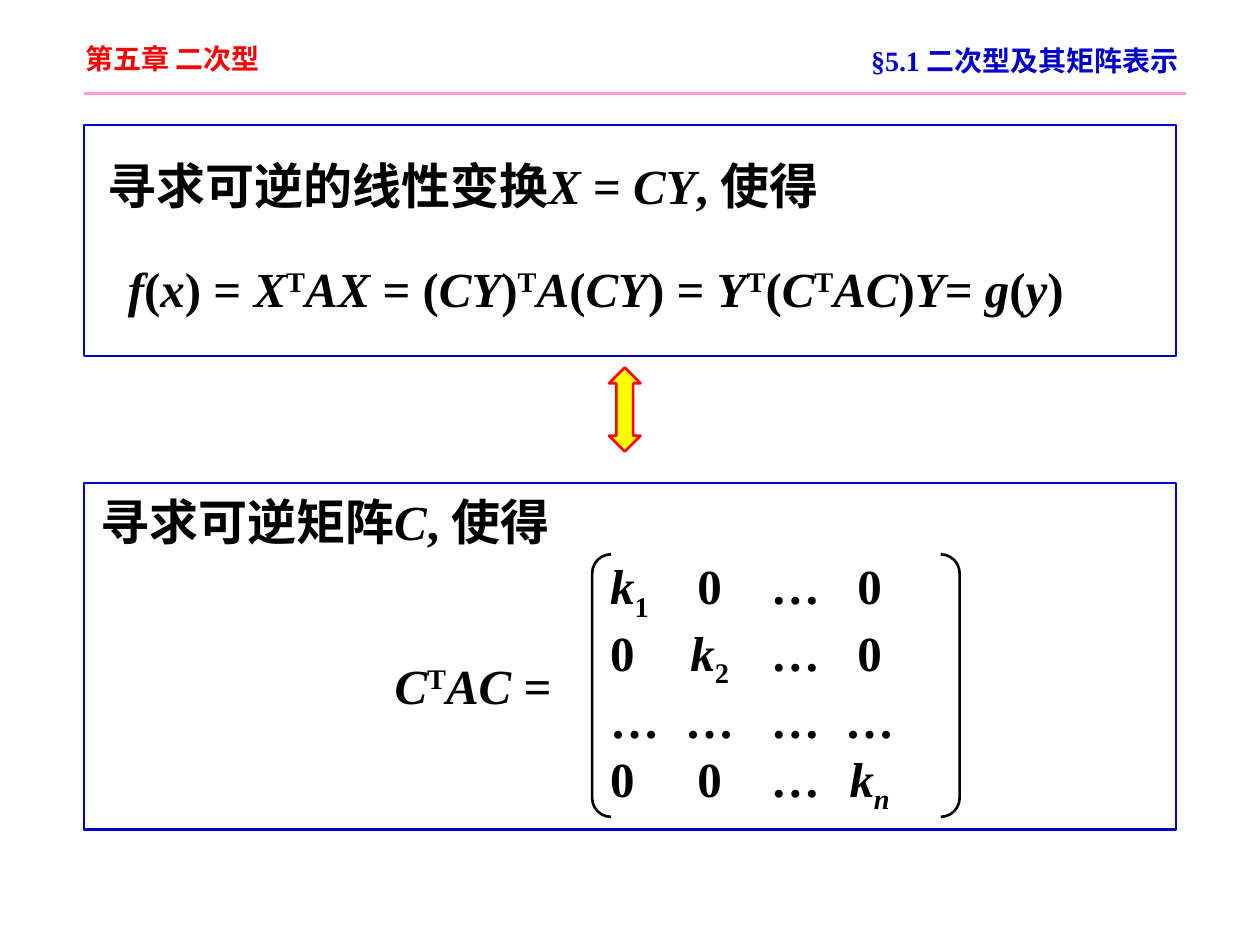
from dataclasses import dataclass
from typing import NamedTuple, Optional

from lxml import etree
from pptx import Presentation
from pptx import util as u
from pptx.dml import color
from pptx.enum import shapes, text
from pptx.oxml import ns

COLORS = {
    "ink": "000000",
    "frame": "0000CC",
    "chapter": "FF0000",
    "rule": "FF99CC",
    "arrow": "FFFF00",
}
LATIN, CJK = "Times New Roman", "Noto Sans CJK SC"
CELL = u.Inches(10) // 120
MATRIX_STOPS = (9.48, 17.64, 24.72)


class Run(NamedTuple):
    words: str
    italic: bool = False
    baseline: int = 0


class Box(NamedTuple):
    col: float
    row: float
    cols: float
    rows: float


@dataclass
class Label:
    box: Box
    runs: list[Run]
    size: int = 28
    color: str = "ink"
    font: str = LATIN
    spacing: Optional[float] = None
    align: text.PP_ALIGN = text.PP_ALIGN.LEFT


def var(words: str) -> Run:
    return Run(words, italic=True)


def sub(words: str, italic: bool = False) -> Run:
    return Run(words, italic, -25)


def grid(*cells: float) -> list[int]:
    return [round(cell * CELL) for cell in cells]


def rgb(name: str) -> color.RGBColor:
    return color.RGBColor.from_string(COLORS[name])


def add_runs(paragraph, runs: list[Run], size: int = 28,
             ink: str = "ink", face: str = LATIN) -> None:
    for part in runs:
        run = paragraph.add_run()
        run.text = part.words
        font = run.font
        font.name, font.size, font.bold = face, u.Pt(size), True
        font.italic = part.italic
        font.color.rgb = rgb(ink)
        props = run._r.get_or_add_rPr()
        if part.baseline:
            props.set("baseline", str(part.baseline * 1000))
        if any("\u4e00" <= letter <= "\u9fff" for letter in part.words):
            east = etree.Element(ns.qn("a:ea"), typeface=CJK)
            props.find(ns.qn("a:latin")).addnext(east)


def add_label(slide, label: Label) -> None:
    frame = slide.shapes.add_textbox(*grid(*label.box)).text_frame
    frame.word_wrap = True
    frame.auto_size = text.MSO_AUTO_SIZE.SHAPE_TO_FIT_TEXT
    paragraph = frame.paragraphs[0]
    paragraph.alignment = label.align
    if label.spacing:
        paragraph.line_spacing = label.spacing
    add_runs(paragraph, label.runs, label.size, label.color, label.font)


def add_outline(slide, kind: shapes.MSO_SHAPE, box: Box, line: str,
                fill: Optional[str] = None, adjust: tuple[float, ...] = ()):
    shape = slide.shapes.add_shape(kind, *grid(*box))
    shape.shadow.inherit = False
    if fill:
        shape.fill.solid()
        shape.fill.fore_color.rgb = rgb(fill)
    else:
        shape.fill.background()
    shape.line.color.rgb = rgb(line)
    shape.line.width = u.Pt(1.5)
    for index, value in enumerate(adjust):
        shape.adjustments[index] = value
    return shape


def add_matrix(slide, box: Box, rows: list[list[Run]]) -> None:
    bracket = add_outline(slide, shapes.MSO_SHAPE.DOUBLE_BRACKET, box, "ink",
                          adjust=(0.072,))
    frame = bracket.text_frame
    frame.word_wrap = True
    frame.vertical_anchor = text.MSO_ANCHOR.MIDDLE
    for index, runs in enumerate(rows):
        paragraph = frame.add_paragraph() if index else frame.paragraphs[0]
        paragraph.alignment = text.PP_ALIGN.LEFT
        stops = etree.SubElement(paragraph._p.get_or_add_pPr(), ns.qn("a:tabLst"))
        for position in grid(*MATRIX_STOPS):
            etree.SubElement(stops, ns.qn("a:tab"), pos=str(position), algn="ctr")
        add_runs(paragraph, runs)


def add_rule(slide, start: float, end: float, row: float) -> None:
    rule = slide.shapes.add_connector(shapes.MSO_CONNECTOR.STRAIGHT,
                                      *grid(start, row, end, row))
    rule.line.color.rgb = rgb("rule")
    rule.line.width = u.Pt(1.5)
    etree.SubElement(rule._element.spPr, ns.qn("a:effectLst"))


T = Run("T", baseline=30)

TRANSFORMED_FORM = Label(Box(11, 22.9, 95.4, 7.4), [
    var("f"), Run("("), var("x"), Run(") = "), var("X"), T, var("AX "),
    Run("= ("), var("CY"), Run(")"), T, var("A"), Run("("), var("CY"),
    Run(") = "), var("Y"), T, Run("("), var("C"), T, var("AC"), Run(")"),
    var("Y"), Run("= "), var("g"), Run("("), var("y"), Run(")"),
], spacing=1.2)
MATRIX_GOAL = Label(Box(8.4, 45.1, 45.8, 8), [
    Run("寻求可逆矩阵"), var("C"), Run(", 使得"),
], spacing=1.2)
TRANSFORM_GOAL = Label(Box(9.1, 14.2, 72.2, 6.8), [
    Run("寻求可逆的线性变换"), var("X "), Run("= "), var("CY"), Run(", 使得"),
])
CONGRUENCE = Label(Box(36.4, 61.8, 17.8, 6.8), [
    var("C"), T, var("AC "), Run("="),
])
SECTION = Label(Box(80.3, 3.6, 33.7, 4.4), [Run("§5.1 二次型及其矩阵表示 ")],
                16, "frame", align=text.PP_ALIGN.RIGHT)
CHAPTER = Label(Box(7, 3.4, 21.1, 4.4), [Run("第五章 二次型")],
                16, "chapter", CJK)
DIAGONAL = [
    [var("k"), sub("1"), Run("\t0\t…\t0")],
    [Run("0\t"), var("k"), sub("2"), Run("\t…\t0")],
    [Run("…\t…\t…\t…")],
    [Run("0\t0\t…\t"), var("k"), sub("n", True)],
]


def main() -> None:
    deck = Presentation()
    deck.slide_width, deck.slide_height = grid(120, 90)
    slide = deck.slides.add_slide(deck.slide_layouts[6])
    for label in (TRANSFORMED_FORM, MATRIX_GOAL, TRANSFORM_GOAL):
        add_label(slide, label)
    add_outline(slide, shapes.MSO_SHAPE.RECTANGLE, Box(8, 11.9, 104, 22), "frame")
    add_outline(slide, shapes.MSO_SHAPE.UP_DOWN_ARROW, Box(58, 35, 3, 8),
                "chapter", "arrow", (0.5, 0.533))
    add_label(slide, CONGRUENCE)
    add_matrix(slide, Box(56.4, 52.8, 35, 25), DIAGONAL)
    add_outline(slide, shapes.MSO_SHAPE.RECTANGLE, Box(8, 46, 104, 33), "frame")
    add_rule(slide, 8, 113, 8.9)
    for label in (SECTION, CHAPTER):
        add_label(slide, label)
    deck.save("out.pptx")


if __name__ == "__main__":
    main()
